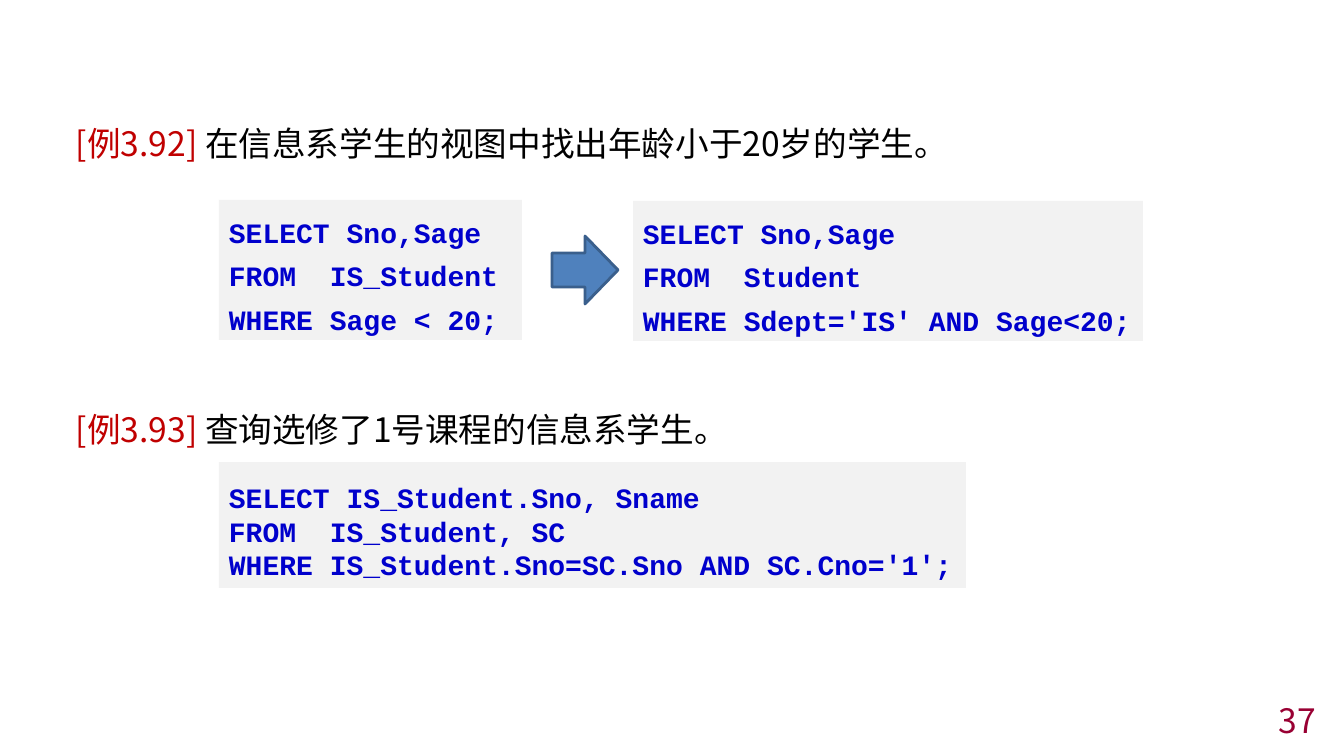
from dataclasses import dataclass

from lxml import etree
from pptx import Presentation
from pptx.dml.color import RGBColor
from pptx.enum.shapes import MSO_SHAPE
from pptx.enum.text import MSO_ANCHOR, PP_ALIGN
from pptx.oxml.ns import qn
from pptx.slide import Slide
from pptx.util import Pt

EMU_PER_PX = 914400 / 100.8
RECTANGLE = MSO_SHAPE.RECTANGLE
RIGHT_ARROW = MSO_SHAPE.RIGHT_ARROW
TOP, MIDDLE = MSO_ANCHOR.TOP, MSO_ANCHOR.MIDDLE
LEFT, RIGHT = PP_ALIGN.LEFT, PP_ALIGN.RIGHT

BLACK = RGBColor(0x00, 0x00, 0x00)
LABEL_RED = RGBColor(0xC0, 0x00, 0x00)
PAGE_MAROON = RGBColor(0x99, 0x00, 0x33)
CODE_BLUE = RGBColor(0x00, 0x00, 0xCC)
CODE_GREY = RGBColor(0xF2, 0xF2, 0xF2)
ARROW_BLUE = RGBColor(0x4F, 0x81, 0xBD)
ARROW_EDGE = RGBColor(0x3A, 0x5F, 0x8C)

TEXT_FONT = "Noto Sans CJK SC"
CODE_FONT = "Courier New"


@dataclass(frozen=True)
class Box:
    left: int
    top: int
    width: int
    height: int

    def emu(self) -> tuple[int, ...]:
        return tuple(px(n) for n in (self.left, self.top, self.width, self.height))


@dataclass(frozen=True)
class Example:
    box: Box
    label: str
    task: str


@dataclass(frozen=True)
class Query:
    box: Box
    lines: tuple[str, ...]
    spacings: tuple[float, ...]


EXAMPLES = (
    Example(Box(66, 118, 1214, 60), "[例3.92] ", "在信息系学生的视图中找出年龄小于20岁的学生。"),
    Example(Box(66, 404, 1214, 60), "[例3.93] ", "查询选修了1号课程的信息系学生。"),
)
QUERIES = (
    Query(
        Box(219, 200, 303, 140),
        ("SELECT Sno,Sage", "FROM  IS_Student", "WHERE Sage < 20;"),
        (1.3, 1.3, 1.3),
    ),
    Query(
        Box(633, 201, 510, 140),
        ("SELECT Sno,Sage", "FROM  Student", "WHERE Sdept='IS' AND Sage<20;"),
        (1.3, 1.3, 1.3),
    ),
    Query(
        Box(219, 462, 747, 126),
        (
            "SELECT IS_Student.Sno, Sname",
            "FROM  IS_Student, SC",
            "WHERE IS_Student.Sno=SC.Sno AND SC.Cno='1';",
        ),
        (1.4, 1.0, 1.0),
    ),
)
REWRITE_ARROW = Box(552, 236, 66, 68)
PAGE_NUMBER = Box(1041, 705, 285, 31)


def px(length: int) -> int:
    return round(length * EMU_PER_PX)


def add_text(
    slide: Slide,
    box: Box,
    parts: tuple[tuple[str, RGBColor], ...],
    alignment: PP_ALIGN = LEFT,
    anchor: MSO_ANCHOR = TOP,
) -> None:
    frame = slide.shapes.add_textbox(*box.emu()).text_frame
    frame.word_wrap = True
    frame.vertical_anchor = anchor
    paragraph = frame.paragraphs[0]
    paragraph.alignment = alignment
    paragraph.font.size = Pt(24)
    paragraph.font.name = TEXT_FONT
    defaults = paragraph._p.pPr.find(qn("a:defRPr"))
    etree.SubElement(defaults, qn("a:ea"), typeface=TEXT_FONT)
    for text, color in parts:
        run = paragraph.add_run()
        run.text = text
        run.font.color.rgb = color


def add_query(slide: Slide, query: Query) -> None:
    panel = slide.shapes.add_shape(RECTANGLE, *query.box.emu())
    panel.shadow.inherit = False
    panel.fill.solid()
    panel.fill.fore_color.rgb = CODE_GREY
    panel.line.fill.background()
    frame = panel.text_frame
    frame.word_wrap = True
    frame.vertical_anchor = TOP
    for index, (code, spacing) in enumerate(zip(query.lines, query.spacings)):
        paragraph = frame.add_paragraph() if index else frame.paragraphs[0]
        paragraph.text = code
        paragraph.alignment = LEFT
        paragraph.line_spacing = spacing
        paragraph.font.name = CODE_FONT
        paragraph.font.size = Pt(20)
        paragraph.font.bold = True
        paragraph.font.color.rgb = CODE_BLUE


def add_rewrite_arrow(slide: Slide, box: Box) -> None:
    arrow = slide.shapes.add_shape(RIGHT_ARROW, *box.emu())
    arrow.shadow.inherit = False
    arrow.fill.solid()
    arrow.fill.fore_color.rgb = ARROW_BLUE
    arrow.line.color.rgb = ARROW_EDGE
    arrow.line.width = Pt(2)


def main() -> None:
    presentation = Presentation()
    presentation.slide_width = px(1344)
    presentation.slide_height = px(756)
    slide = presentation.slides.add_slide(presentation.slide_layouts[6])
    for example in EXAMPLES:
        add_text(slide, example.box, ((example.label, LABEL_RED), (example.task, BLACK)))
    for query in QUERIES:
        add_query(slide, query)
    add_rewrite_arrow(slide, REWRITE_ARROW)
    add_text(slide, PAGE_NUMBER, (("37", PAGE_MAROON),), RIGHT, MIDDLE)
    presentation.save("out.pptx")


if __name__ == "__main__":
    main()
